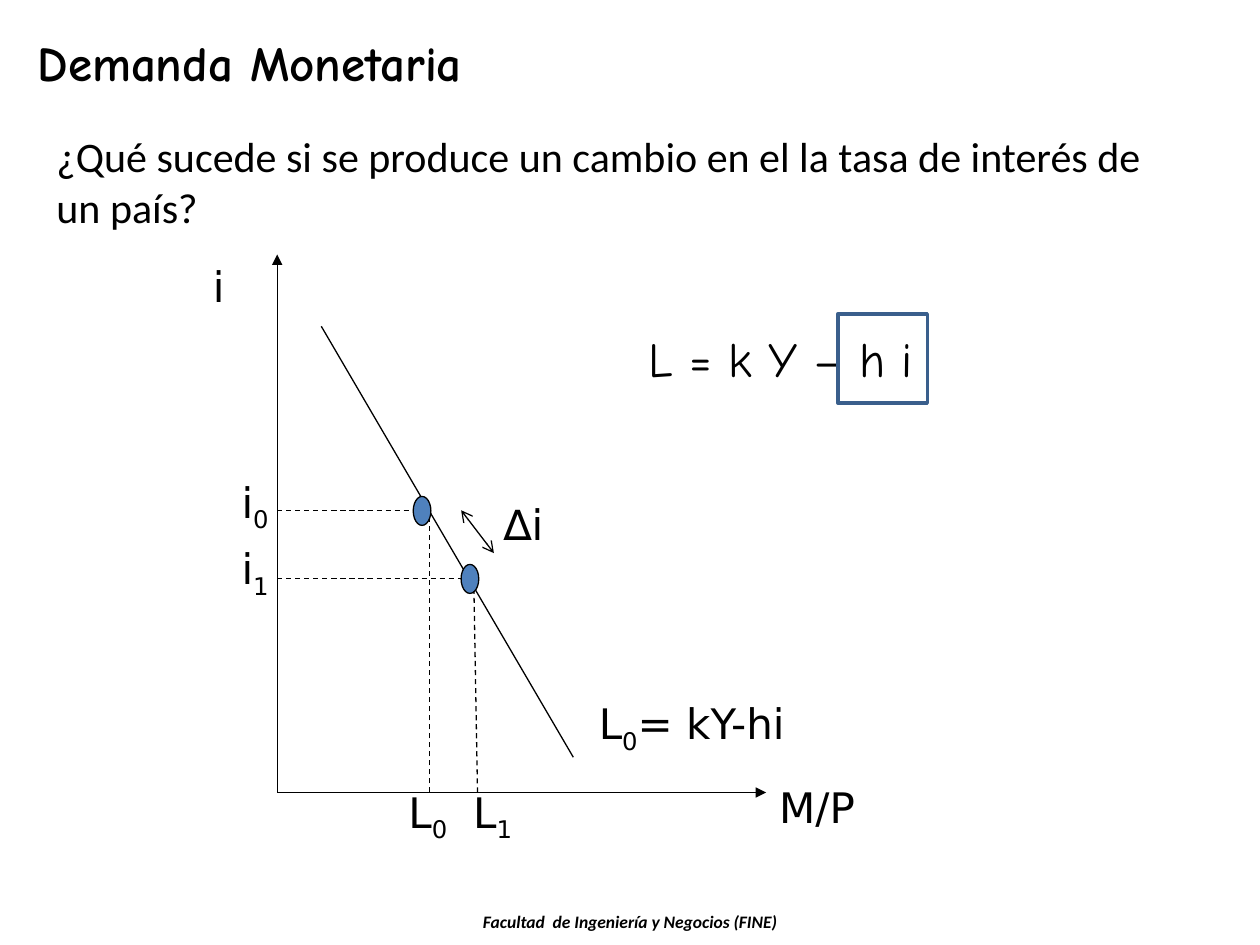
from lxml import etree
from pptx import Presentation
from pptx import util as u
from pptx.dml.color import RGBColor
from pptx.enum import dml, shapes, text
from pptx.oxml import ns

BLACK = RGBColor(0x00, 0x00, 0x00)
BLUE = RGBColor(0x4F, 0x81, 0xBD)
NAVY = RGBColor(0x3A, 0x5F, 0x8C)
CENTER = text.PP_ALIGN.CENTER
LEFT = text.PP_ALIGN.LEFT


class Sheet:
    """Draws styled elements on the current slide."""

    def __init__(self, page):
        self.page = page
        self.shapes = page.shapes

    def open_group(self):
        self.shapes = self.page.shapes.add_group_shape().shapes

    def close_group(self):
        self.shapes = self.page.shapes

    def label(self, left, top, width, height, parts, size=24, font="DejaVu Sans",
              align=CENTER, bold=False, italic=False, spacing=None):
        box = self.shapes.add_textbox(*map(u.Inches, (left, top, width, height)))
        box.text_frame.word_wrap = True
        para = box.text_frame.paragraphs[0]
        para.alignment = align
        para.line_spacing = spacing
        para.font.name = font
        para.font.size = u.Pt(size)
        para.font.bold = bold
        para.font.italic = italic
        para.font.color.rgb = BLACK
        for index, words in enumerate(parts):
            span = para.add_run()
            span.text = words
            if index == 1:
                span._r.get_or_add_rPr().set("baseline", "-25000")

    def line(self, start, end, dashed=False, head=None, tail=None):
        line = self.shapes.add_connector(
            shapes.MSO_CONNECTOR.STRAIGHT, *map(u.Inches, (*start, *end)))
        line.line.color.rgb = BLACK
        line.line.width = u.Pt(0.75)
        if dashed:
            line.line.dash_style = dml.MSO_LINE.DASH
        outline = line.line._get_or_add_ln()
        for tag, kind in (("a:headEnd", head), ("a:tailEnd", tail)):
            if kind:
                etree.SubElement(outline, ns.qn(tag)).set("type", kind)
        etree.SubElement(line._element.spPr, ns.qn("a:effectLst"))

    def shape(self, kind, left, top, width, height, color, weight, fill=None):
        shape = self.shapes.add_shape(
            kind, *map(u.Inches, (left, top, width, height)))
        shape.shadow.inherit = False
        shape.line.color.rgb = color
        shape.line.width = u.Pt(weight)
        if fill is None:
            shape.fill.background()
        else:
            shape.fill.solid()
            shape.fill.fore_color.rgb = fill


deck = Presentation()
deck.slide_width, deck.slide_height = u.Inches(10), u.Inches(7.5)
sheet = Sheet(deck.slides.add_slide(deck.slide_layouts[6]))

sheet.label(2.82, 2.65, 6.75, 0.63, ["L = k Y – h i"], 28, "Comic Neue", spacing=0.8)

axis_x, axis_y = 2.2, 6.29
origin = (axis_x, axis_y)
sheet.open_group()
for end in ((axis_x, 2.02), (6.08, axis_y)):
    sheet.line(origin, end, tail="triangle")
sheet.line((2.55, 2.59), (4.55, 6.01))

for point_x, foot_x, point_y in ((3.41, 3.41, 4.05), (3.76, 3.79, 4.59)):
    sheet.line((axis_x, point_y), (foot_x, point_y), dashed=True)
    sheet.line((foot_x, axis_y), (point_x, point_y), dashed=True)

for left, top, width, parts in (
    (3.76, 3.91, 0.79, ["∆i"]),
    (4.14, 5.49, 2.7, ["L", "0", "= kY-hi"]),
    (1.38, 2.02, 0.71, ["i"]),
    (5.37, 6.15, 2.23, ["M/P"]),
    (3, 6.19, 0.79, ["L", "0"]),
    (3.51, 6.19, 0.8, ["L", "1"]),
    (1.63, 3.73, 0.79, ["i", "0"]),
    (1.63, 4.26, 0.79, ["i", "1"]),
):
    sheet.label(left, top, width, 0.47, parts)

sheet.line((3.66, 4.05), (3.92, 4.39), head="arrow", tail="arrow")
for left, top in ((3.66, 4.48), (3.28, 3.94)):
    sheet.shape(shapes.MSO_SHAPE.OVAL, left, top, 0.14, 0.23, BLACK, 0.75, BLUE)
sheet.close_group()

sheet.shape(shapes.MSO_SHAPE.RECTANGLE, 6.65, 2.49, 0.71, 0.71, NAVY, 2)
sheet.label(0.35, 0.99, 9, 2.39,
            ["¿Qué sucede si se produce un cambio en el la tasa de interés de un país?"],
            24, "Calibri", LEFT)
sheet.label(0.2, 0.21, 6.83, 0.57, ["Demanda Monetaria"], 28, "Comic Neue", LEFT, bold=True)
sheet.label(2.56, 7.18, 4.88, 0.27, ["Facultad  de Ingeniería y Negocios (FINE)"],
            10, "Calibri", bold=True, italic=True)

deck.save("out.pptx")
